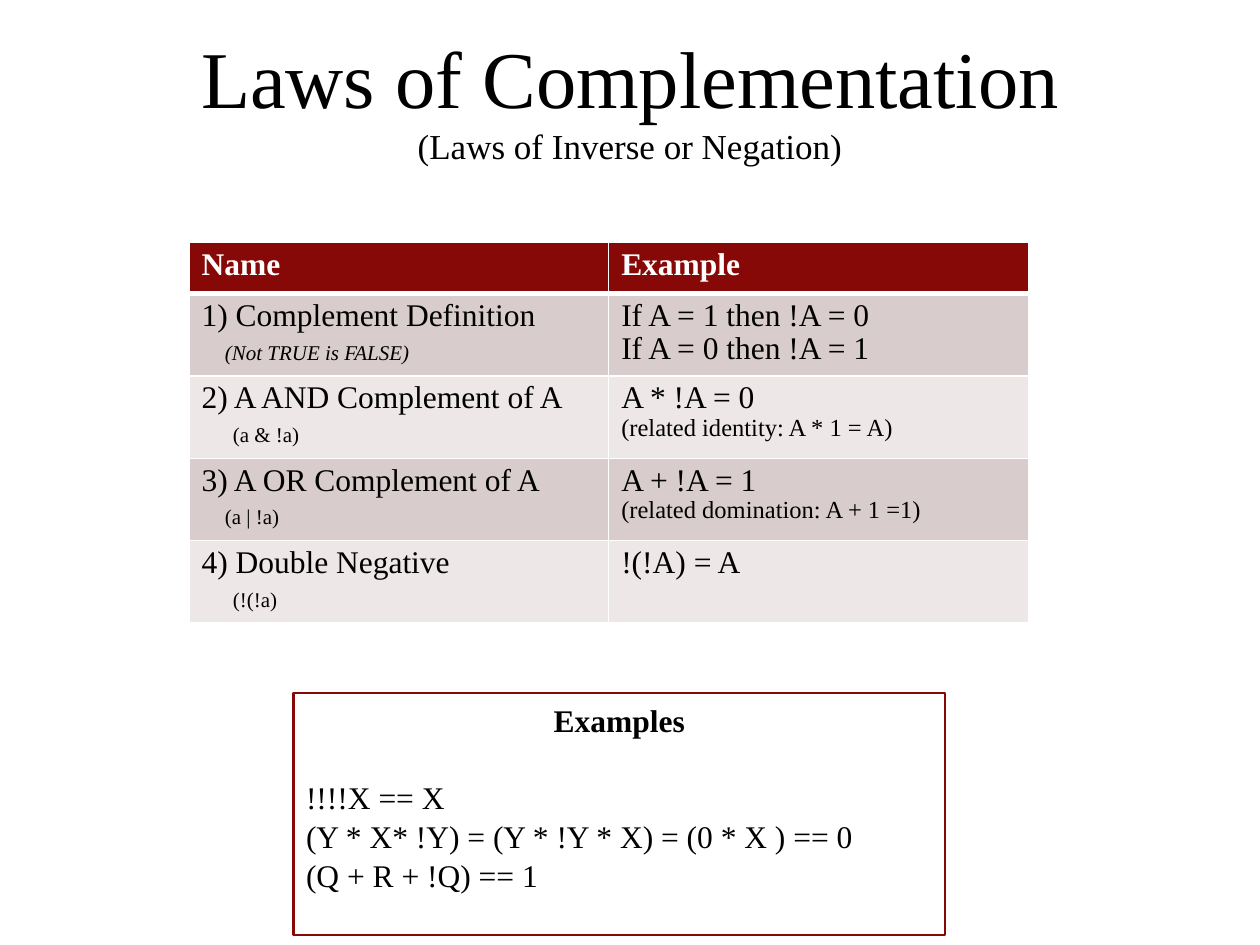
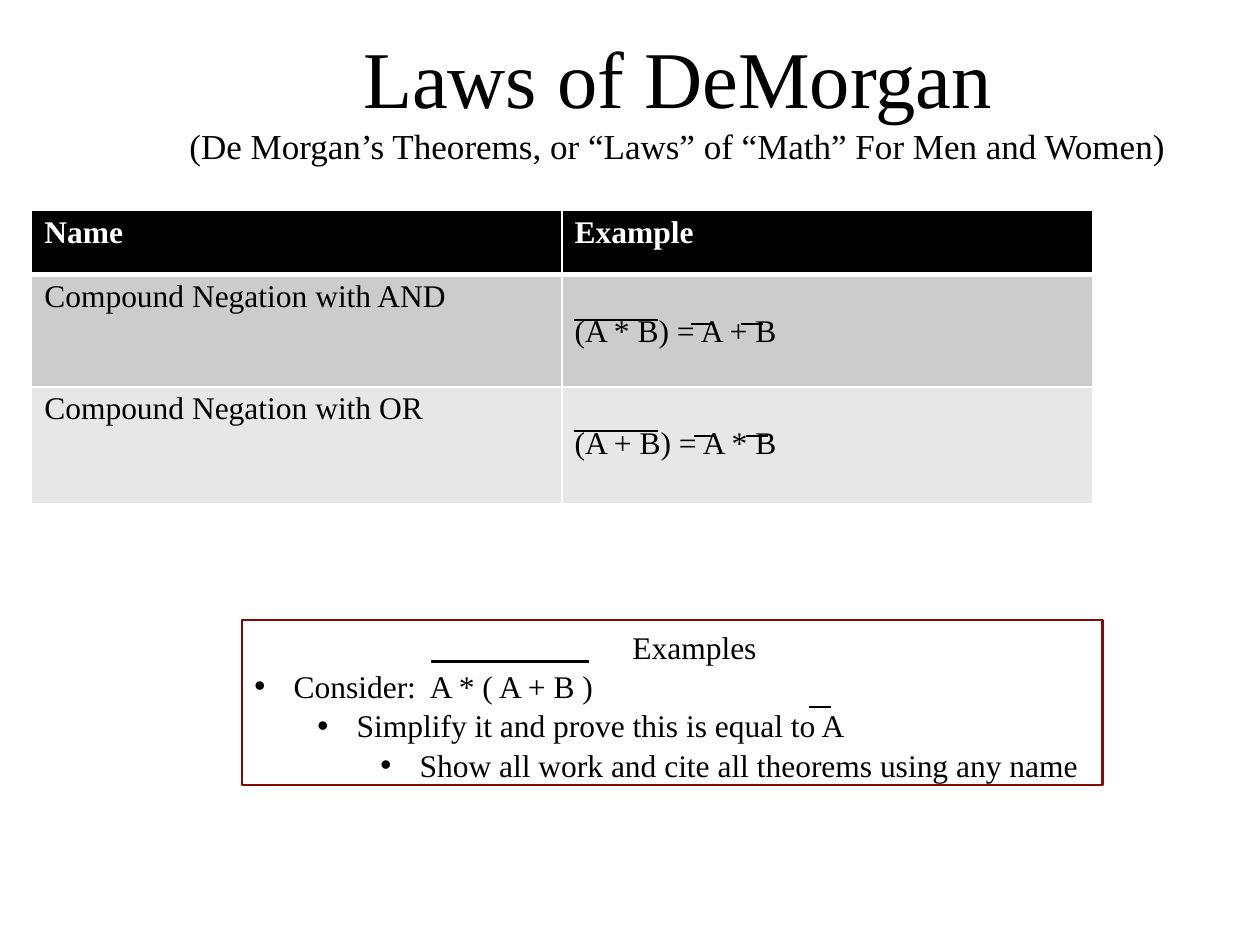
from lxml import etree
from pptx import Presentation
from pptx import util as u
from pptx.dml.color import RGBColor
from pptx.enum import shapes, text
from pptx.oxml.ns import qn

FONT = "Times New Roman"
BLACK = RGBColor(0x00, 0x00, 0x00)
WHITE = RGBColor(0xFF, 0xFF, 0xFF)
MAROON = RGBColor(0x86, 0x09, 0x08)
ROSE_BANDS = (RGBColor(0xD9, 0xCC, 0xCC), RGBColor(0xED, 0xE7, 0xE7))
GREY_BANDS = (RGBColor(0xCC, 0xCC, 0xCC), RGBColor(0xE7, 0xE7, 0xE7))

CENTER = text.PP_ALIGN.CENTER
MARGIN = 0.13  # top margin of a cell, in cm
HEADINGS = ("Name", "Example")


def note(words, indent, **form):
    return words, dict(size=12, indent=indent, before=5.2, **form)


def bullet(words, level):
    return words, dict(level=level, indent=0.79 + 1.27 * level, hanging=0.79)


# Each line of text is a string, or a pair of a string and its format.
# Places are left, top, width, height in cm.
SLIDES = [
    dict(
        title=("Laws of Complementation", "(Laws of Inverse or Negation)"),
        title_width=20.32,
        table=dict(
            left=3.81, top=4.88, column=8.46, heights=(1.04,) + (1.66,) * 4,
            header=MAROON, bands=ROSE_BANDS, example_margin=MARGIN,
            rows=[
                (["1) Complement Definition", note("(Not TRUE is FALSE)", 0.47, italic=True)],
                ["If A = 1 then !A = 0", "If A = 0 then !A = 1"]),
                (["2) A AND Complement of A", note("(a & !a)", 0.63)],
                 ["A * !A = 0", ("(related identity: A * 1 = A)", dict(size=14))]),
                (["3) A OR Complement of A", note("(a | !a)", 0.47)],
                 ["A + !A = 1", ("(related domination: A + 1 =1)", dict(size=14))]),
                (["4) Double Negative", note("(!(!a)", 0.63)],
                 ["!(!A) = A"]),
            ],
        ),
        box=(5.92, 13.97, 13.13, 4.88),
        examples=[
            ("Examples", dict(bold=True, align=CENTER)),
            ("!!!!X == X", dict(before=21.5)),
            "(Y * X* !Y) = (Y * !Y * X) = (0 * X ) == 0",
            "(Q + R + !Q) == 1",
        ],
        negation_bars=[],
    ),
    dict(
        title=("Laws of DeMorgan",
               "(De Morgan’s Theorems, or “Laws” of “Math” For Men and Women)"),
        title_width=22.23,
        table=dict(
            left=0.64, top=4.24, column=10.69, heights=(1.3, 2.26, 2.36),
            header=BLACK, bands=GREY_BANDS, example_margin=0.83,
            rows=[
                (["Compound Negation with AND"], ["(A * B) = A + B"]),
                (["Compound Negation with OR"], ["(A + B) = A * B"]),
            ],
        ),
        box=(4.88, 12.5, 17.35, 3.33),
        examples=[
            ("Examples", dict(indent=7.62)),
            bullet("Consider:  A * ( A + B )", 0),
            bullet("Simplify it and prove this is equal to A", 1),
            bullet("Show all work and cite all theorems using any name", 2),
        ],
        # left, top, width
        negation_bars=[
            (11.58, 6.45, 1.68), (13.92, 6.53, 0.44), (14.94, 6.53, 0.44),
            (11.58, 8.69, 1.68), (14.0, 8.79, 0.44), (15.04, 8.79, 0.44),
            (8.69, 13.34, 3.18), (16.31, 14.25, 0.44),
        ],
    ),
]


def write(paragraph, words, size=18, color=BLACK, bold=False, italic=False,
          align=None, indent=0, hanging=0, level=0, before=0, spacing=1.0):
    """Add a formatted run; a hanging indent also brings a bullet."""
    run = paragraph.add_run()
    run.text = words
    font = run.font
    font.name, font.size = FONT, u.Pt(size)
    font.bold, font.italic = bold, italic
    font.color.rgb = color
    paragraph.alignment = align or text.PP_ALIGN.LEFT
    paragraph.level = level
    paragraph.line_spacing = spacing
    paragraph.space_before = u.Pt(before)
    props = paragraph._p.get_or_add_pPr()
    props.set("marL", str(u.Cm(indent)))
    props.set("indent", str(-u.Cm(hanging)))
    if hanging:
        etree.SubElement(props, qn("a:buFont"), typeface="Arial")
        etree.SubElement(props, qn("a:buChar"), char="•")


def write_lines(frame, lines, **shared):
    for number, line in enumerate(lines):
        words, form = (line, {}) if isinstance(line, str) else line
        paragraph = frame.add_paragraph() if number else frame.paragraphs[0]
        write(paragraph, words, **{**shared, **form})


def add_title(slide, heading, subtitle, width):
    title = slide.shapes.title
    title.left, title.top = u.Cm(2.54), u.Cm(0.76)
    title.width, title.height = u.Cm(width), u.Cm(2.41)
    frame = title.text_frame
    frame.auto_size = text.MSO_AUTO_SIZE.NONE
    frame.vertical_anchor = text.MSO_ANCHOR.MIDDLE
    paragraph = frame.paragraphs[0]
    write(paragraph, heading, size=46, align=CENTER)
    paragraph.add_line_break()
    write(paragraph, subtitle, size=20, align=CENTER)


def set_borders(cell, top, bottom):
    props = cell._tc.get_or_add_tcPr()
    for side, width in (("L", 1), ("R", 1), ("T", top), ("B", bottom)):
        line = etree.SubElement(props, qn("a:ln" + side), w=str(u.Pt(width)))
        fill = etree.SubElement(line, qn("a:solidFill"))
        etree.SubElement(fill, qn("a:srgbClr"), val=str(WHITE))


def add_law_table(slide, left, top, column, heights, header, bands, example_margin, rows):
    table = slide.shapes.add_table(
        len(heights), 2, u.Cm(left), u.Cm(top), u.Cm(2 * column), u.Cm(sum(heights))).table
    for table_column in table.columns:
        table_column.width = u.Cm(column)
    for r, (height, cells) in enumerate(zip(heights, [[[h] for h in HEADINGS]] + rows)):
        table.rows[r].height = u.Cm(height)
        for c, lines in enumerate(cells):
            cell = table.cell(r, c)
            set_borders(cell, top=3 if r == 1 else 1, bottom=3 if r == 0 else 1)
            cell.fill.solid()
            cell.fill.fore_color.rgb = bands[(r - 1) % 2] if r else header
            cell.margin_top = u.Cm(example_margin if r and c else MARGIN)
            write_lines(cell.text_frame, lines, spacing=0.95,
                        bold=r == 0, color=BLACK if r else WHITE)


def add_examples(slide, place, lines):
    box = slide.shapes.add_shape(shapes.MSO_SHAPE.RECTANGLE, *map(u.Cm, place))
    box.shadow.inherit = False
    box.fill.solid()
    box.fill.fore_color.rgb = WHITE
    box.line.color.rgb = MAROON
    box.line.width = u.Pt(1.5)
    frame = box.text_frame
    frame.word_wrap = True
    frame.vertical_anchor = text.MSO_ANCHOR.TOP
    write_lines(frame, lines, spacing=1.04)


def add_negation_bar(slide, left, top, width):
    bar = slide.shapes.add_connector(
        shapes.MSO_CONNECTOR.STRAIGHT, u.Cm(left), u.Cm(top), u.Cm(left + width), u.Cm(top))
    bar.line.color.rgb = BLACK
    bar.line.width = u.Pt(1.5)
    etree.SubElement(bar._element.spPr, qn("a:effectLst"))


def main():
    deck = Presentation()
    deck.slide_width, deck.slide_height = u.Cm(25.4), u.Cm(19.05)
    title_only = deck.slide_layouts[5]
    for content in SLIDES:
        slide = deck.slides.add_slide(title_only)
        add_title(slide, *content["title"], content["title_width"])
        add_law_table(slide, **content["table"])
        add_examples(slide, content["box"], content["examples"])
        for bar in content["negation_bars"]:
            add_negation_bar(slide, *bar)
    deck.save("out.pptx")


if __name__ == "__main__":
    main()
